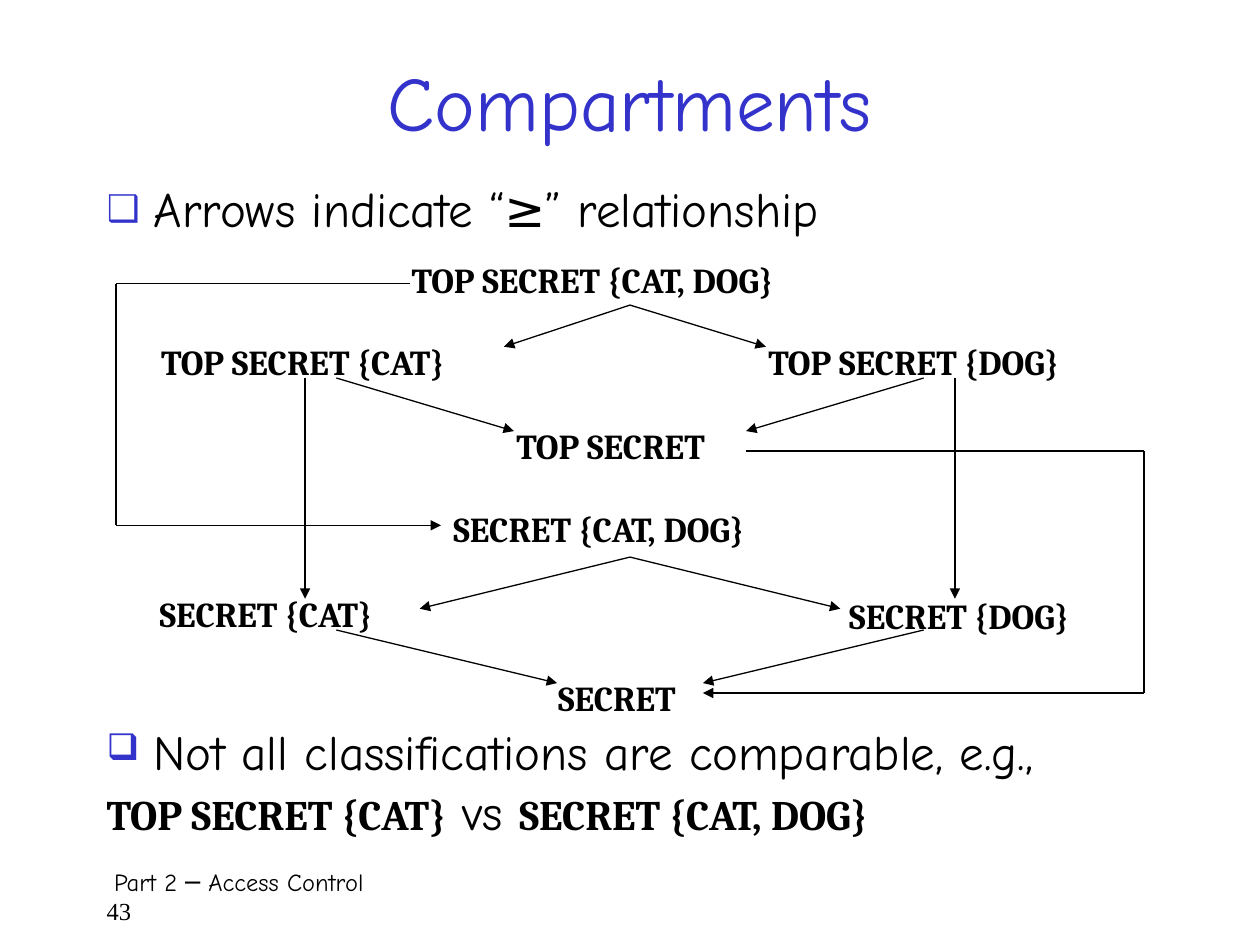
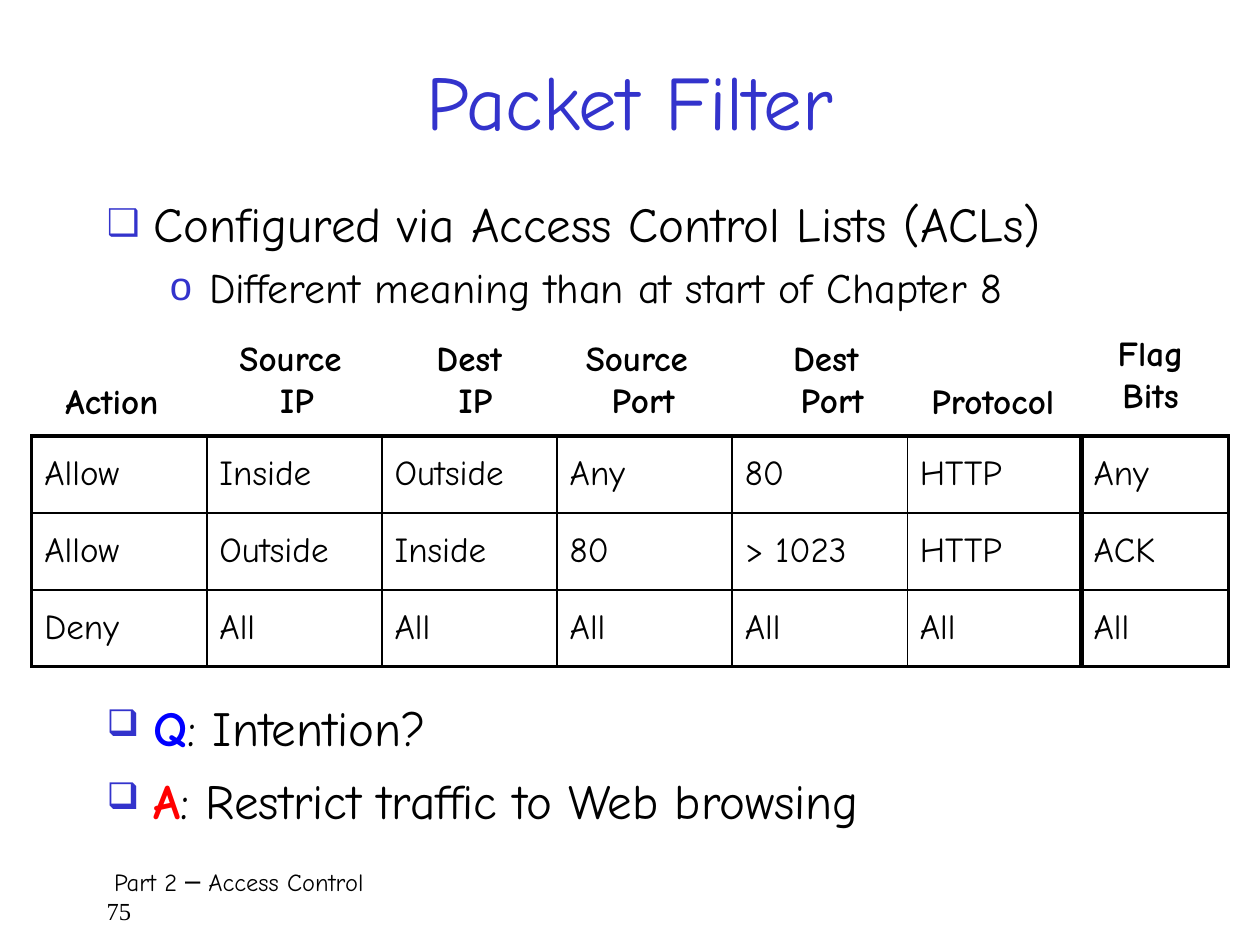
from lxml.etree import SubElement
from pptx import Presentation
from pptx.dml.color import RGBColor
from pptx.enum.shapes import MSO_CONNECTOR as CONNECTOR
from pptx.enum.text import MSO_ANCHOR as ANCHOR, MSO_AUTO_SIZE as AUTO_SIZE, PP_ALIGN as ALIGN
from pptx.oxml import parse_xml
from pptx.oxml.ns import nsdecls, qn
from pptx.util import Cm, Pt

COMIC, SERIF, ROMAN = "Comic Neue", "Cambria", "Times New Roman"
BLACK, BLUE = "000000", "3333CC"
BULLETS = [("❑", 75, 0.95, -0.95), ("o", 95, 2.06, -0.79)]
THIN, THICK = 1, 2.25


def style(font, name=COMIC, size=28, color=BLACK, bold=False):
    font.name = name
    font.size = Pt(size)
    font.bold = bold
    font.color.rgb = RGBColor.from_string(color)


def add_item(frame, runs, spacing, after=0, level=0, bulleted=True):
    paragraph = frame.paragraphs[0] if not frame.text else frame.add_paragraph()
    symbol, percent, margin, indent = BULLETS[level]
    paragraph.level = level
    paragraph.line_spacing = spacing
    paragraph.space_before = Pt(5.6 - 0.8 * level)
    paragraph.space_after = Pt(after)
    properties = paragraph._p.get_or_add_pPr()
    properties.set("marL", str(Cm(margin)))
    properties.set("indent", str(Cm(indent)))
    if bulleted:
        color = SubElement(properties, qn("a:buClr"))
        SubElement(color, qn("a:srgbClr"), val=BLUE)
        SubElement(properties, qn("a:buSzPct"), val=str(percent * 1000))
        SubElement(properties, qn("a:buChar"), char=symbol)
    for text, look in runs:
        run = paragraph.add_run()
        run.text = text
        style(run.font, **look)


presentation = Presentation()
presentation.slide_width, presentation.slide_height = Cm(25.4), Cm(19.05)

pages = [
    ("Compartments", "43", (1.9, 0.43, 21.59, 3.18), (1.9, 3.61, 21.59, 1.7), (1.9, 14.61, 21.79, 2.54)),
    ("Packet Filter", "75", (1.9, 0.84, 21.59, 2.34), (1.9, 4.01, 22.02, 2.74), (1.9, 14.07, 21.59, 2.97)),
]
slides, bodies, lower_lists = [], [], []
for heading, number, title_place, body_place, lower_place in pages:
    slide = presentation.slides.add_slide(presentation.slide_layouts[1])
    title, body = slide.shapes.title, slide.placeholders[1]
    for shape, place in ((title, title_place), (body, body_place)):
        shape.left, shape.top, shape.width, shape.height = map(Cm, place)
        shape.text_frame.auto_size = AUTO_SIZE.NONE
    title.text_frame.text = heading
    title.text_frame.vertical_anchor = ANCHOR.MIDDLE
    title.text_frame.paragraphs[0].alignment = ALIGN.CENTER
    style(title.text_frame.paragraphs[0].font, size=44, color=BLUE)

    footer = slide.shapes.add_textbox(Cm(1.9), Cm(17.35), Cm(21.79), Cm(1.27)).text_frame
    footer.word_wrap = True
    footer.text = f"Part 2 ─ Access Control\n{number}"
    for paragraph, name in zip(footer.paragraphs, (COMIC, ROMAN)):
        style(paragraph.font, name, 14)
    footer.paragraphs[0]._p.get_or_add_pPr().set("marL", str(Cm(0.15)))

    lower = slide.shapes.add_textbox(*map(Cm, lower_place)).text_frame
    lower.word_wrap = True
    slides.append(slide)
    bodies.append(body.text_frame)
    lower_lists.append(lower)

compartments, packet_filter = slides

add_item(bodies[0], [("Arrows indicate “≥” relationship", {})], 0.9)
level_look = {"name": SERIF, "size": 24, "bold": True}
add_item(lower_lists[0], [("Not all classifications are comparable, e.g.,", {})], 0.85)
add_item(lower_lists[0], [("TOP SECRET {CAT}", level_look), (" vs ", {}),
                          ("SECRET {CAT, DOG}", level_look)], 0.85, bulleted=False)

levels = [
    ("TOP SECRET {CAT, DOG}", 8.05, 5.08, 9.22),
    ("TOP SECRET {CAT}", 3, 6.73, 7.21),
    ("TOP SECRET", 10.16, 8.43, 5.03),
    ("SECRET {CAT, DOG}", 8.89, 10.11, 7.57),
    ("SECRET {DOG}", 16.87, 11.86, 5.72),
    ("SECRET", 11, 13.51, 3.38),
    ("TOP SECRET {DOG}", 15.24, 6.73, 7.37),
    ("SECRET {CAT}", 2.97, 11.81, 5.56),
]
for label, left, top, width in levels:
    frame = compartments.shapes.add_textbox(Cm(left), Cm(top), Cm(width), Cm(1.09)).text_frame
    frame.word_wrap = True
    frame.text = label
    style(frame.paragraphs[0].font, SERIF, 20, bold=True)

arrows = [
    (12.7, 6.15, 10.16, 6.99), (12.7, 6.15, 15.44, 6.99),
    (6.78, 7.62, 10.36, 8.69), (18.62, 7.62, 15.04, 8.69),
    (12.7, 11.23, 8.46, 12.27), (12.7, 11.23, 16.94, 12.27),
    (6.78, 12.7, 11.23, 13.77), (18.62, 12.7, 14.17, 13.77),
    (6.15, 7.62, 6.15, 12.07), (19.25, 7.62, 19.25, 12.07),
    (2.34, 10.59, 8.89, 10.59), (23.06, 13.97, 14.17, 13.97),
]
plain_lines = [
    (8.26, 5.72, 2.34, 5.72), (2.34, 5.72, 2.34, 10.59),
    (23.06, 9.09, 15.04, 9.09), (23.06, 9.09, 23.06, 13.97),
]
for ends in arrows + plain_lines:
    connector = compartments.shapes.add_connector(CONNECTOR.STRAIGHT, *map(Cm, ends))
    connector.line.color.rgb = RGBColor.from_string(BLACK)
    connector.line.width = Pt(0.75)
    properties = connector.element.spPr
    if ends in arrows:
        SubElement(properties.find(qn("a:ln")), qn("a:tailEnd"), type="triangle")
    SubElement(properties, qn("a:effectLst"))

add_item(bodies[1], [("Configured via Access Control Lists (ACLs)", {})], 0.8, after=6)
add_item(bodies[1], [("Different meaning than at start of Chapter 8", {"size": 24})], 0.8, after=6, level=1)
for letter, color, text in (("Q", "0000FF", ": Intention?"),
                            ("A", "FF0000", ": Restrict traffic to Web browsing")):
    add_item(lower_lists[1], [(letter, {"color": color, "bold": True}), (text, {})], 0.9, after=6)

rules = [
    ["Allow", "Inside", "Outside", "Any", "80", "HTTP"],
    ["Allow", "Outside", "Inside", "80", "> 1023", "HTTP"],
    ["Deny", "All", "All", "All", "All", "All"],
]
flag_bits = [["Any"], ["ACK"], ["All"]]
for values, left, column_width in ((rules, 0.64, 3.53), (flag_bits, 21.79, 2.97)):
    last_row, last_column = len(values) - 1, len(values[0]) - 1
    table = packet_filter.shapes.add_table(
        len(values), len(values[0]), Cm(left), Cm(8.79),
        Cm(column_width * len(values[0])), Cm(1.55 * len(values))).table
    table.first_row = table.horz_banding = False
    for column in table.columns:
        column.width = Cm(column_width)
    for i, row in enumerate(values):
        for j, value in enumerate(row):
            cell = table.cell(i, j)
            cell.text = value
            cell.vertical_anchor = ANCHOR.MIDDLE
            cell.fill.background()
            paragraph = cell.text_frame.paragraphs[0]
            paragraph.space_before = Pt(4)
            style(paragraph.font, size=20)
            outer = {"L": j == 0, "R": j == last_column, "T": i == 0, "B": i == last_row}
            for position, (side, is_outer) in enumerate(outer.items()):
                width = Pt(THICK if is_outer else THIN)
                cell._tc.get_or_add_tcPr().insert(position, parse_xml(
                    f'<a:ln{side} {nsdecls("a")} w="{width}"><a:solidFill>'
                    f'<a:srgbClr val="{BLACK}"/></a:solidFill></a:ln{side}>'))

headers = [
    ("Action", 1.07, 7.52, 2.67),
    ("Source \nIP", 4.45, 6.65, 3.07),
    ("Dest \nIP", 8.05, 6.65, 3.07),
    ("Source \nPort", 11.43, 6.65, 3.07),
    ("Dest \nPort", 15.24, 6.65, 3.07),
    ("Protocol", 18.21, 7.52, 3.61),
    ("Flag\nBits", 21.39, 6.55, 3.61),
]
for header, left, top, width in headers:
    height = 2.24 if "\n" in header else 1.24
    frame = packet_filter.shapes.add_textbox(Cm(left), Cm(top), Cm(width), Cm(height)).text_frame
    frame.word_wrap = True
    frame.text = header
    for paragraph in frame.paragraphs:
        paragraph.alignment = ALIGN.LEFT if header == "Action" else ALIGN.CENTER
        style(paragraph.font, size=20, bold=True)

presentation.save("out.pptx")
